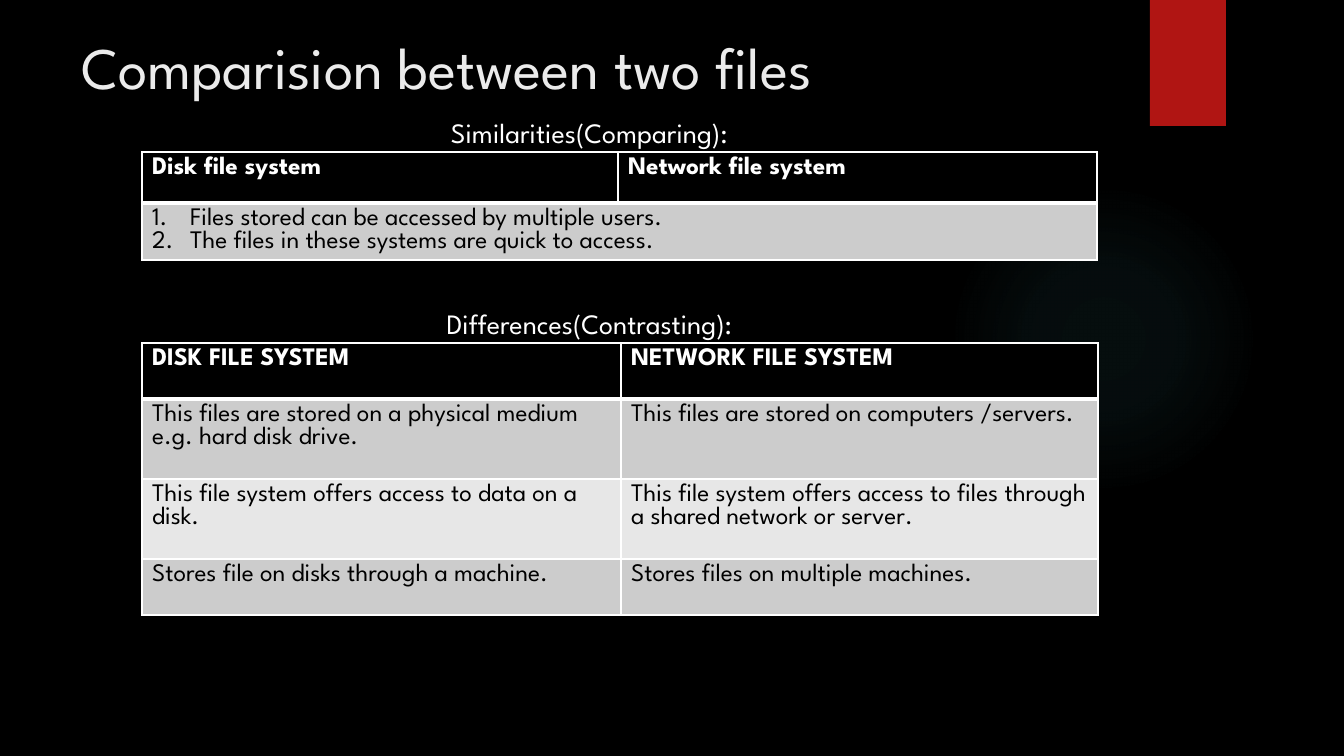
from lxml import etree
from pptx import Presentation
from pptx.dml.color import RGBColor
from pptx.enum.shapes import MSO_SHAPE as Shape
from pptx.enum.text import MSO_ANCHOR as Anchor, PP_ALIGN as Align
from pptx.oxml import parse_xml
from pptx.oxml.ns import nsdecls, qn
from pptx.util import Emu, Pt

PX = 9525 * 96 / 100.8
FONT = "League Spartan"
COLORS = {
    "black": "000000", "white": "FFFFFF", "title": "EBEBEB", "red": "B01513",
    "glow": "50B9C1", "dark band": "CCCCCC", "light band": "E7E7E7",
}


def px(*lengths):
    return [Emu(round(length * PX)) for length in lengths]


def add_run(paragraph, text, size, color, bold=False):
    run = paragraph.add_run()
    run.text = text
    run.font.name = FONT
    run.font.size = Pt(size)
    run.font.bold = bold
    run.font.color.rgb = RGBColor.from_string(COLORS[color])


prs = Presentation()
prs.slide_width, prs.slide_height = px(1344, 756)
slide = prs.slides.add_slide(prs.slide_layouts[1])
slide.background.fill.solid()
slide.background.fill.fore_color.rgb = RGBColor.from_string(COLORS["black"])

# Decoration
glow = slide.shapes.add_shape(Shape.OVAL, *px(949, 184, 310, 310))
glow.shadow.inherit = False
glow.line.fill.background()
stops = "".join(
    f'<a:gs pos="{position * 1000}"><a:srgbClr val="{COLORS["glow"]}">'
    f'<a:alpha val="{alpha * 1000}"/></a:srgbClr></a:gs>'
    for position, alpha in [(0, 7), (36, 6), (69, 0)])
glow.element.spPr.find(qn("a:prstGeom")).addnext(parse_xml(
    f'<a:gradFill {nsdecls("a")}><a:gsLst>{stops}</a:gsLst><a:path path="circle">'
    '<a:fillToRect l="50000" t="50000" r="50000" b="50000"/></a:path></a:gradFill>'))

ribbon = slide.shapes.add_shape(Shape.RECTANGLE, *px(1150, 0, 76, 126))
ribbon.shadow.inherit = False
ribbon.line.fill.background()
ribbon.fill.solid()
ribbon.fill.fore_color.rgb = RGBColor.from_string(COLORS["red"])

# Title and section headings
title = slide.shapes.title
title.left, title.top, title.width, title.height = px(71, 21, 1037, 85)
title.text_frame.vertical_anchor = Anchor.BOTTOM
heading = title.text_frame.paragraphs[0]
heading.alignment = Align.LEFT
add_run(heading, "Comparision between two files", 42, "title")

sections = slide.placeholders[1]
sections.left, sections.top, sections.width, sections.height = px(71, 110, 1037, 619)
sections.text_frame.vertical_anchor = Anchor.TOP
sections.text_frame.add_paragraph()
for paragraph, text, gap in zip(
        sections.text_frame.paragraphs,
        ["Similarities(Comparing):", "Differences(Contrasting):"], [5, 113]):
    paragraph.alignment = Align.CENTER
    paragraph.space_before = Pt(gap)
    properties = paragraph._p.get_or_add_pPr()
    properties.set("marL", "0")
    properties.set("indent", "0")
    etree.SubElement(properties, qn("a:buNone"))
    add_run(paragraph, text, 20, "white")

# Tables: top, column widths, row heights, rows of cells holding paragraphs
comparisons = [
    (152, [476, 479], [51, 57], [
        [["Disk file system"], ["Network file system"]],
        [["Files stored can be accessed by multiple users.",
          "The files in these systems are quick to access."], []],
    ]),
    (343, [479, 477], [56, 80, 80, 56], [
        [["DISK FILE SYSTEM"], ["NETWORK FILE SYSTEM"]],
        [["This files are stored on a physical medium e.g. hard disk drive."],
         ["This files are stored on computers /servers."]],
        [["This file system offers access to data on a disk."],
         ["This file system offers access to files through a shared network or server."]],
        [["Stores file on disks through a machine."],
         ["Stores files on multiple machines."]],
    ]),
]
for top, widths, heights, rows in comparisons:
    table = slide.shapes.add_table(
        len(rows), len(widths), *px(142, top, sum(widths), sum(heights))).table
    for column, width in zip(table.columns, px(*widths)):
        column.width = width
    for row, height in zip(table.rows, px(*heights)):
        row.height = height

    for r, row in enumerate(rows):
        band = "black" if r == 0 else "dark band" if r % 2 else "light band"
        for c, lines in enumerate(row):
            cell = table.cell(r, c)
            cell.fill.solid()
            cell.fill.fore_color.rgb = RGBColor.from_string(COLORS[band])
            borders = {"L": 1, "R": 1, "T": 3 if r == 1 else 1, "B": 1 if r else 3}
            for position, (side, points) in enumerate(borders.items()):
                cell._tc.get_or_add_tcPr().insert(position, parse_xml(
                    f'<a:ln{side} {nsdecls("a")} w="{Pt(points)}"><a:solidFill>'
                    f'<a:srgbClr val="{COLORS["white"]}"/></a:solidFill></a:ln{side}>'))
            for n, line in enumerate(lines):
                frame = cell.text_frame
                paragraph = frame.add_paragraph() if n else frame.paragraphs[0]
                if len(lines) > 1:
                    indent = px(38)[0]
                    properties = paragraph._p.get_or_add_pPr()
                    properties.set("marL", str(indent))
                    properties.set("indent", str(-indent))
                    etree.SubElement(properties, qn("a:buAutoNum"), type="arabicPeriod")
                add_run(paragraph, line, 18, "black" if r else "white", bold=r == 0)
        if not row[-1]:
            table.cell(r, 0).merge(table.cell(r, len(row) - 1))

prs.save("out.pptx")
